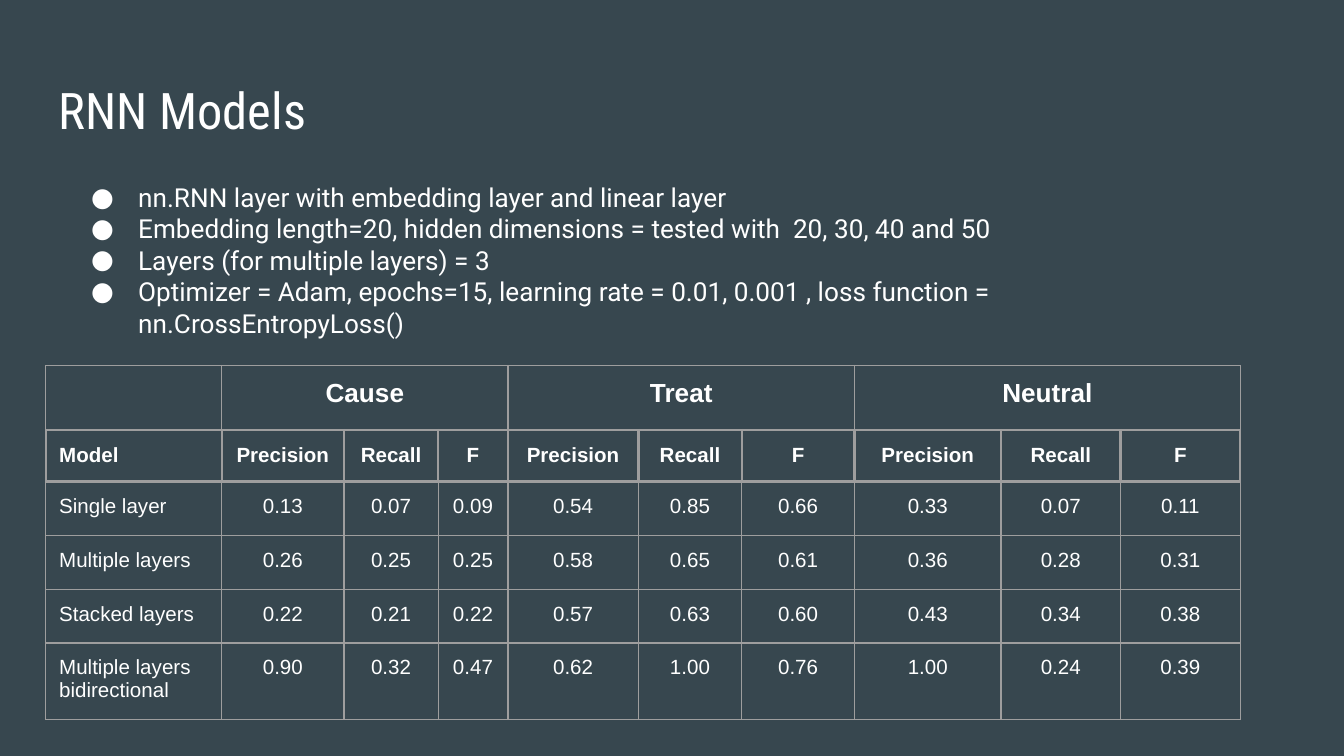
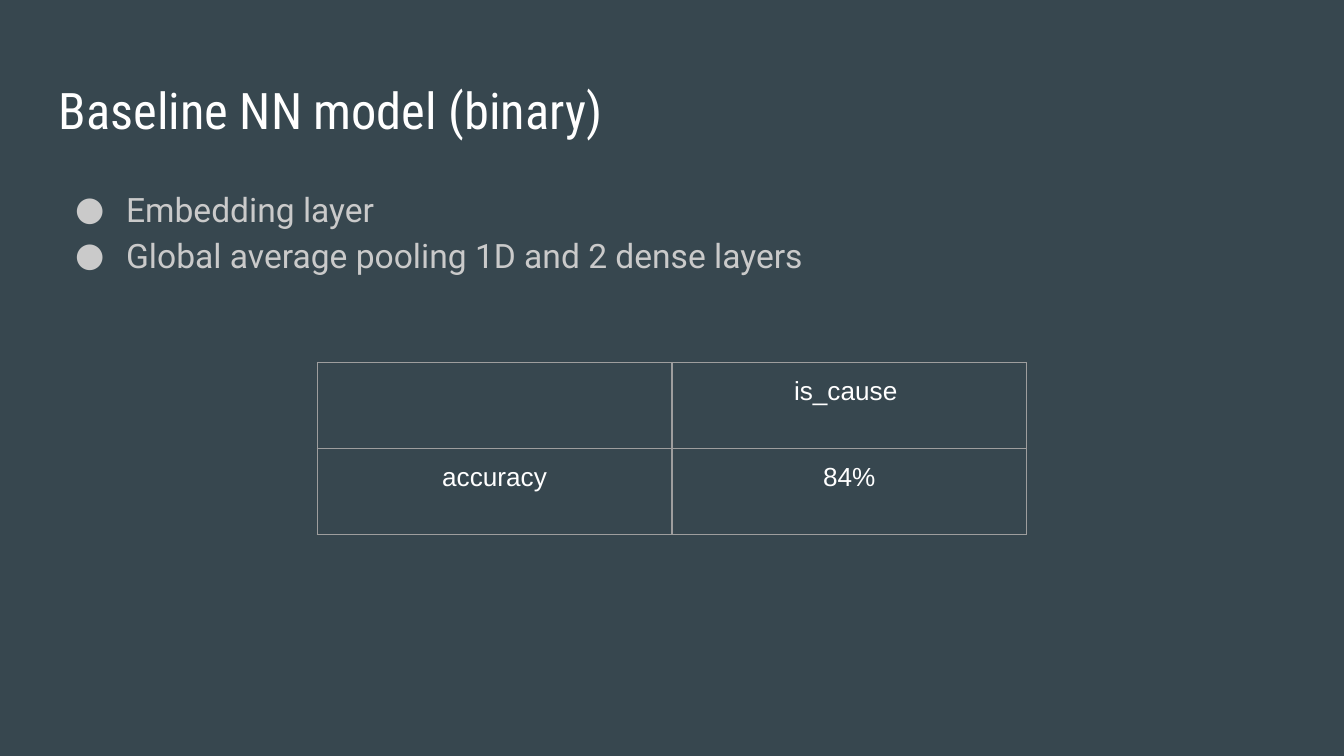
"""Build two slides on neural network models and their scores."""
from lxml.etree import SubElement as Sub
from pptx import Presentation
from pptx.dml.color import RGBColor as RGB
from pptx.enum.text import PP_ALIGN as Align
from pptx.oxml import parse_xml
from pptx.oxml.ns import nsdecls, qn
from pptx.util import Inches, Pt

BACK, LIGHT, SOFT, RULE = "37474F", "FFFFFF", "CACACA", "9E9E9E"
THIN, THICK = 0.75, 1.5
SIDES = ("left", "right", "top", "bottom")

TITLE = {"name": "Roboto Condensed", "size": Pt(27)}
POINT = {"name": "Roboto", "size": Pt(14)}
LARGE = {"name": "Roboto", "size": Pt(18)}
PLAIN = {"name": "Arial", "size": Pt(14)}
GROUP = {"name": "Arial", "size": Pt(14), "bold": True}
HEAD = {"name": "Arial", "size": Pt(11), "bold": True}
SCORE = {"name": "Arial", "size": Pt(11)}

MODELS = [
    ("Single layer", "0.13 0.07 0.09 0.54 0.85 0.66 0.33 0.07 0.11"),
    ("Multiple layers", "0.26 0.25 0.25 0.58 0.65 0.61 0.36 0.28 0.31"),
    ("Stacked layers", "0.22 0.21 0.22 0.57 0.63 0.60 0.43 0.34 0.38"),
    ("Multiple layers bidirectional",
     "0.90 0.32 0.47 0.62 1.00 0.76 1.00 0.24 0.39"),
]


def paint(target, color):
    """Give a font a hex color."""
    target.color.rgb = RGB.from_string(color)


def write(par, text, style, color=LIGHT):
    """Add one styled run to a paragraph."""
    run = par.add_run()
    run.text = text
    for key, value in style.items():
        setattr(run.font, key, value)
    paint(run.font, color)


def add_box(slide, left, top, width, height):
    """Add a wrapping text box and return its frame."""
    box = slide.shapes.add_textbox(*map(Inches, (left, top, width, height)))
    frame = box.text_frame
    frame.word_wrap = True
    for side in SIDES:
        setattr(frame, f"margin_{side}", Inches(0.1))
    return frame


def add_page(deck, title):
    """Add a dark slide with its title."""
    slide = deck.slides.add_slide(deck.slide_layouts[6])
    fill = slide.background.fill
    fill.solid()
    fill.fore_color.rgb = RGB.from_string(BACK)
    write(add_box(slide, 0.34, 0.49, 9.32, 0.63).paragraphs[0], title, TITLE)
    return slide


def add_list(frame, items, style, color, hang, pitch=None):
    """Fill a frame with bulleted paragraphs."""
    for num, item in enumerate(items):
        par = frame.add_paragraph() if num else frame.paragraphs[0]
        par.line_spacing = pitch
        props = par._p.get_or_add_pPr()
        props.set("marL", str(Inches(0.5)))
        props.set("indent", str(-Inches(hang)))
        tint = Sub(props, qn("a:buClr"))
        Sub(tint, qn("a:srgbClr"), val=color)
        Sub(props, qn("a:buFont"), typeface=style["name"])
        Sub(props, qn("a:buChar"), char="●")
        write(par, item, style, color)


def edge(cell, side, top, base):
    """Draw the four borders of a cell without a fill."""
    cell.fill.background()
    props = cell._tc.get_or_add_tcPr()
    for num, (tag, width) in enumerate(zip("LRTB", (side, side, top, base))):
        props.insert(num, parse_xml(
            f'<a:ln{tag} {nsdecls("a")} w="{Pt(width)}"><a:solidFill>'
            f'<a:srgbClr val="{RULE}"/></a:solidFill></a:ln{tag}>'))


def put(cell, text, style, align=Align.CENTER):
    """Write text into a table cell."""
    for side in SIDES:
        setattr(cell, f"margin_{side}", Inches(0.1))
    par = cell.text_frame.paragraphs[0]
    par.alignment = align
    write(par, text, style)


def add_grid(slide, left, top, cols, rows, head=None):
    """Add an unfilled table, with thick borders around any head row."""
    table = slide.shapes.add_table(
        len(rows), len(cols), Inches(left), Inches(top),
        Inches(sum(cols)), Inches(sum(rows))).table
    table.first_row = table.horz_banding = False
    for col, width in zip(table.columns, cols):
        col.width = Inches(width)
    for num, (row, height) in enumerate(zip(table.rows, rows)):
        row.height = Inches(height)
        near = [THIN if head is None or head not in pair else THICK
                for pair in ((num,), (num - 1, num), (num, num + 1))]
        for cell in row.cells:
            edge(cell, *near)
    return table


def add_scores(slide):
    """Add the table of scores by model and class."""
    cols = [1.31, 0.91, 0.7, 0.52, 0.97, 0.77, 0.84, 1.09, 0.89, 0.89]
    rows = [0.48, 0.38, 0.4, 0.4, 0.4, 0.42]
    table = add_grid(slide, 0.34, 2.72, cols, rows, head=1)
    for num, name in enumerate(("Cause", "Treat", "Neutral")):
        first = 1 + 3 * num
        table.cell(0, first).merge(table.cell(0, first + 2))
        put(table.cell(0, first), name, GROUP)
    lines = [("Model", "Precision Recall F " * 3)] + MODELS
    for row, (name, scores) in enumerate(lines, 1):
        style = HEAD if row == 1 else SCORE
        put(table.cell(row, 0), name, style, Align.LEFT)
        for col, score in enumerate(scores.split(), 1):
            put(table.cell(row, col), score, style)


def main():
    """Build and save the deck."""
    deck = Presentation()
    deck.slide_width = Inches(10)
    deck.slide_height = Inches(10) * 9 // 16

    slide = add_page(deck, "RNN Models")
    add_scores(slide)
    add_list(add_box(slide, 0.43, 1.25, 8.8, 1.14), [
        "nn.RNN layer with embedding layer and linear layer",
        "Embedding length=20, hidden dimensions = tested with  20, 30, 40 and 50",
        "Layers (for multiple layers) = 3",
        "Optimizer = Adam, epochs=15, learning rate = 0.01, 0.001 , "
        "loss function = nn.CrossEntropyLoss()",
    ], POINT, LIGHT, 0.35)

    slide = add_page(deck, "Baseline NN model (binary)")
    add_list(add_box(slide, 0.34, 1.26, 9.32, 3.74), [
        "Embedding layer",
        "Global average pooling 1D and 2 dense layers",
    ], LARGE, SOFT, 0.38, 1.15)
    table = add_grid(slide, 2.36, 2.7, [2.64] * 2, [0.64] * 2)
    for row, col, text in ((0, 1, "is_cause "), (1, 0, "accuracy"), (1, 1, "84%")):
        put(table.cell(row, col), text, PLAIN)

    deck.save("out.pptx")


if __name__ == "__main__":
    main()
